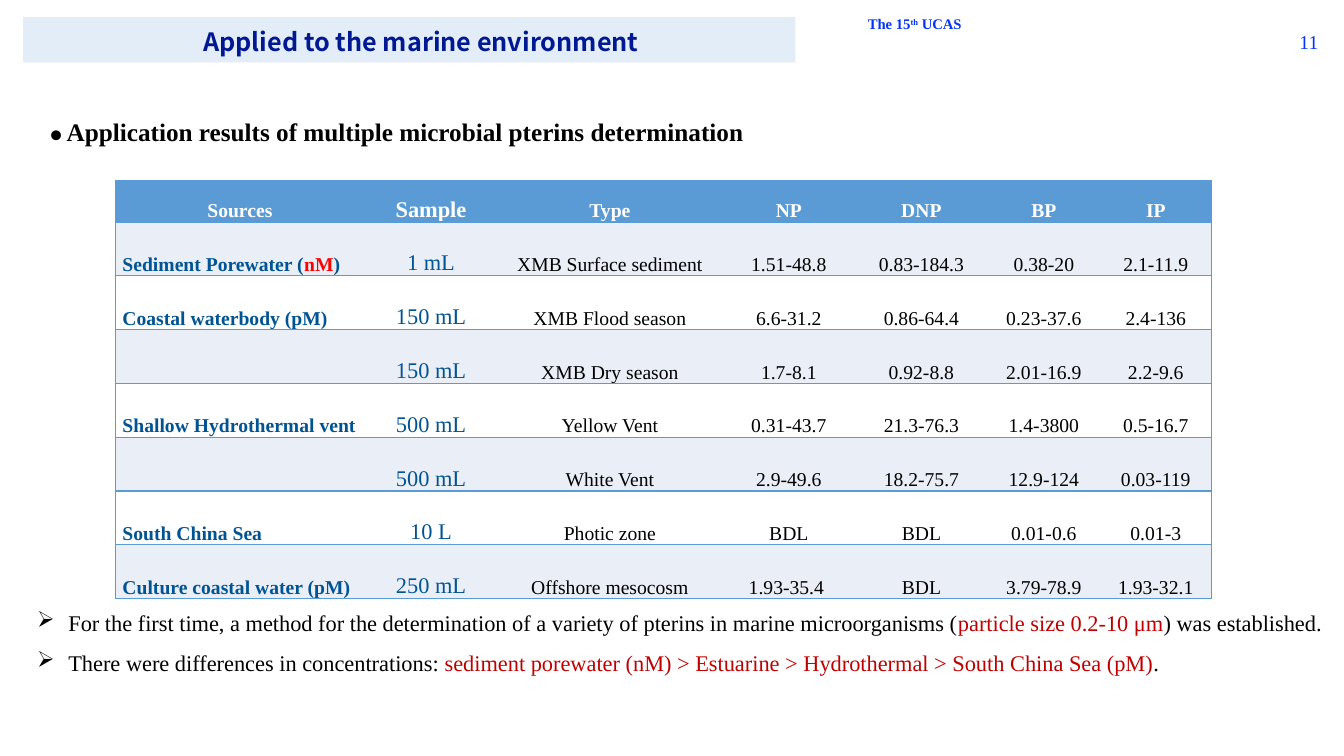
from lxml.etree import SubElement
from pptx import Presentation
from pptx.dml.color import RGBColor
from pptx.enum.shapes import MSO_SHAPE
from pptx.enum.text import MSO_ANCHOR, MSO_AUTO_SIZE, PP_ALIGN
from pptx.oxml.ns import qn
from pptx.util import Inches, Pt

UNIT = Inches(0.1)
SERIF = "Times New Roman"
SANS = "Noto Sans CJK SC"
BLUE, NAVY, TEAL, RULE = "0432FF", "011893", "005493", "5B9BD5"
BLACK, WHITE, RED, DARK_RED = "000000", "FFFFFF", "FF0000", "C00000"
STRIPES = ["EAEFF7", WHITE]

COLUMN_WEIGHTS = [2.47, 1.32, 2.23, 1.32, 1.31, 1.12, 1.1]
HEADINGS = ["Sources", "Sample", "Type", "NP", "DNP", "BP", "IP"]
RESULTS = [
    ["Sediment Porewater (nM)", "1 mL", "XMB Surface sediment",
     "1.51-48.8", "0.83-184.3", "0.38-20", "2.1-11.9"],
    ["Coastal waterbody (pM)", "150 mL", "XMB Flood season",
     "6.6-31.2", "0.86-64.4", "0.23-37.6", "2.4-136"],
    ["", "150 mL", "XMB Dry season",
     "1.7-8.1", "0.92-8.8", "2.01-16.9", "2.2-9.6"],
    ["Shallow Hydrothermal vent", "500 mL", "Yellow Vent",
     "0.31-43.7", "21.3-76.3", "1.4-3800", "0.5-16.7"],
    ["", "500 mL", "White Vent",
     "2.9-49.6", "18.2-75.7", "12.9-124", "0.03-119"],
    ["South China Sea", "10 L", "Photic zone",
     "BDL", "BDL", "0.01-0.6", "0.01-3"],
    ["Culture coastal water (pM)", "250 mL", "Offshore mesocosm",
     "1.93-35.4 ", "BDL", "3.79-78.9", "1.93-32.1"],
]
NOTES = [
    [("For the first time, a method for the determination of a variety of "
      "pterins in marine microorganisms (", BLACK),
     ("particle size 0.2-10 μm", DARK_RED),
     (") was established.", BLACK)],
    [("There were differences in concentrations: ", BLACK),
     ("sediment porewater (nM) > Estuarine > Hydrothermal > "
      "South China Sea (pM)", DARK_RED),
     (".", BLACK)],
]


def rgb(value):
    """Turn a hex string into a colour."""
    return RGBColor.from_string(value)


def grid(left, top, width, height):
    """Turn grid columns and rows into slide lengths."""
    return [int(n * UNIT) for n in (left, top, width, height)]


def write(p, parts, size, bold=False, name=SERIF, align=None, spacing=None):
    """Fill a paragraph with (text, colour) parts in one style."""
    p.alignment = align
    p.line_spacing = spacing
    for text, color in parts:
        r = p.add_run()
        r.text = text
        r.font.size = Pt(size)
        r.font.name = name
        r.font.bold = bold
        r.font.color.rgb = rgb(color)


def add_bullet(p, mark, indent):
    """Give a paragraph a hanging bullet."""
    pPr = p._p.get_or_add_pPr()
    pPr.set("marL", str(Inches(indent)))
    pPr.set("indent", str(-Inches(indent)))
    SubElement(pPr, qn("a:buChar"), char=mark)


def add_text(s, box, wrap=True):
    """Add an empty text box and return its text frame."""
    tf = s.shapes.add_textbox(*box).text_frame
    tf.word_wrap = wrap
    return tf


def add_header(s, box):
    """Place the banner, title, event name and slide number."""
    left, top, width, height = box
    banner = s.shapes.add_shape(MSO_SHAPE.RECTANGLE, *grid(
        left, top, 76.6, height))
    banner.shadow.inherit = False
    banner.fill.solid()
    banner.fill.fore_color.rgb = rgb("BDD7EE")
    banner.line.fill.background()
    SubElement(banner.fill._xPr.find(".//" + qn("a:srgbClr")),
               qn("a:alpha"), val="43000")
    s.shapes._spTree.insert(2, banner._element)

    title = s.shapes.title
    title.left, title.top, title.width, title.height = grid(
        left + 13.6, top + 0.3, 51.7, 4.2)
    tf = title.text_frame
    tf.auto_size = MSO_AUTO_SIZE.NONE
    tf.vertical_anchor = MSO_ANCHOR.MIDDLE
    write(tf.paragraphs[0], [("Applied to the marine environment", NAVY)],
          18, True, SANS, PP_ALIGN.CENTER)

    tf = add_text(s, grid(left + 82.8, top - 0.7, 11.6, 2.8), False)
    p = tf.paragraphs[0]
    write(p, [(text, BLUE) for text in ("The 15", "th", " UCAS")], 10.5, True)
    p.runs[1].font._element.set("baseline", "30000")

    tf = add_text(s, grid(left + width - 5.4, top + 0.8, 5.4, 4))
    write(tf.paragraphs[0], [("11", BLUE)], 14)


def add_heading(s, box):
    """Place the heading above the table."""
    p = add_text(s, grid(*box)).paragraphs[0]
    write(p, [("⦁ Application results of multiple microbial pterins "
               "determination", BLACK)], 18, True, spacing=1.3)


def set_borders(cell, first, last):
    """Rule a cell above and below, and at the table's outer sides."""
    tcPr = cell._tc.get_or_add_tcPr()
    sides = {"lnL": first, "lnR": last, "lnT": True, "lnB": True}
    for side, shown in sides.items():
        ln = SubElement(tcPr, qn("a:" + side), w=str(Pt(1)))
        if shown:
            fill = SubElement(ln, qn("a:solidFill"))
            SubElement(fill, qn("a:srgbClr"), val=RULE)
        else:
            SubElement(ln, qn("a:noFill"))


def cell_parts(text, row, col):
    """Split a cell's text into coloured parts."""
    if row == 0:
        return [(text, WHITE)]
    if col > 1:
        return [(text, BLACK)]
    before, unit, after = text.partition("nM")
    parts = [(before, TEAL), (unit, RED), (after, TEAL)]
    return [part for part in parts if part[0]]


def add_results(s, box):
    """Place the table of results."""
    left, top, width, height = grid(*box)
    rows = [HEADINGS] + RESULTS
    table = s.shapes.add_table(
        len(rows), len(HEADINGS), left, top, width, height).table
    for column, weight in zip(table.columns, COLUMN_WEIGHTS):
        column.width = int(width * weight / sum(COLUMN_WEIGHTS))
    for i, values in enumerate(rows):
        share = 0.9 / len(RESULTS) if i else 0.1
        table.rows[i].height = int(height * share)
        for j, text in enumerate(values):
            cell = table.cell(i, j)
            cell.margin_left = cell.margin_right = Inches(0.07)
            cell.margin_top = cell.margin_bottom = 0
            cell.vertical_anchor = MSO_ANCHOR.BOTTOM
            set_borders(cell, j == 0, j == len(values) - 1)
            cell.fill.solid()
            cell.fill.fore_color.rgb = rgb(STRIPES[(i - 1) % 2] if i else RULE)
            write(cell.text_frame.paragraphs[0], cell_parts(text, i, j),
                  16 if j == 1 else 14, i == 0 or j == 0,
                  align=PP_ALIGN.LEFT if i and j == 0 else PP_ALIGN.CENTER,
                  spacing=2.0 if i else 1.5)


def add_notes(s, box):
    """Place the concluding bullets below the table."""
    tf = add_text(s, grid(*box))
    for i, parts in enumerate(NOTES):
        p = tf.add_paragraph() if i else tf.paragraphs[0]
        add_bullet(p, "➢", 0.31)
        write(p, parts, 16, align=PP_ALIGN.JUSTIFY, spacing=1.5)


def main():
    """Build and save the slide."""
    prs = Presentation()
    prs.slide_width, prs.slide_height = Inches(13.33), Inches(7.5)
    s = prs.slides.add_slide(prs.slide_layouts[5])
    add_header(s, (2.3, 1.7, 131, 4.5))
    add_heading(s, (4, 10.2, 105.2, 4.6))
    add_results(s, (11.45, 17.9, 108.7, 41.3))
    add_notes(s, (2.7, 58.6, 130.6, 8.6))
    prs.save("out.pptx")


if __name__ == "__main__":
    main()
